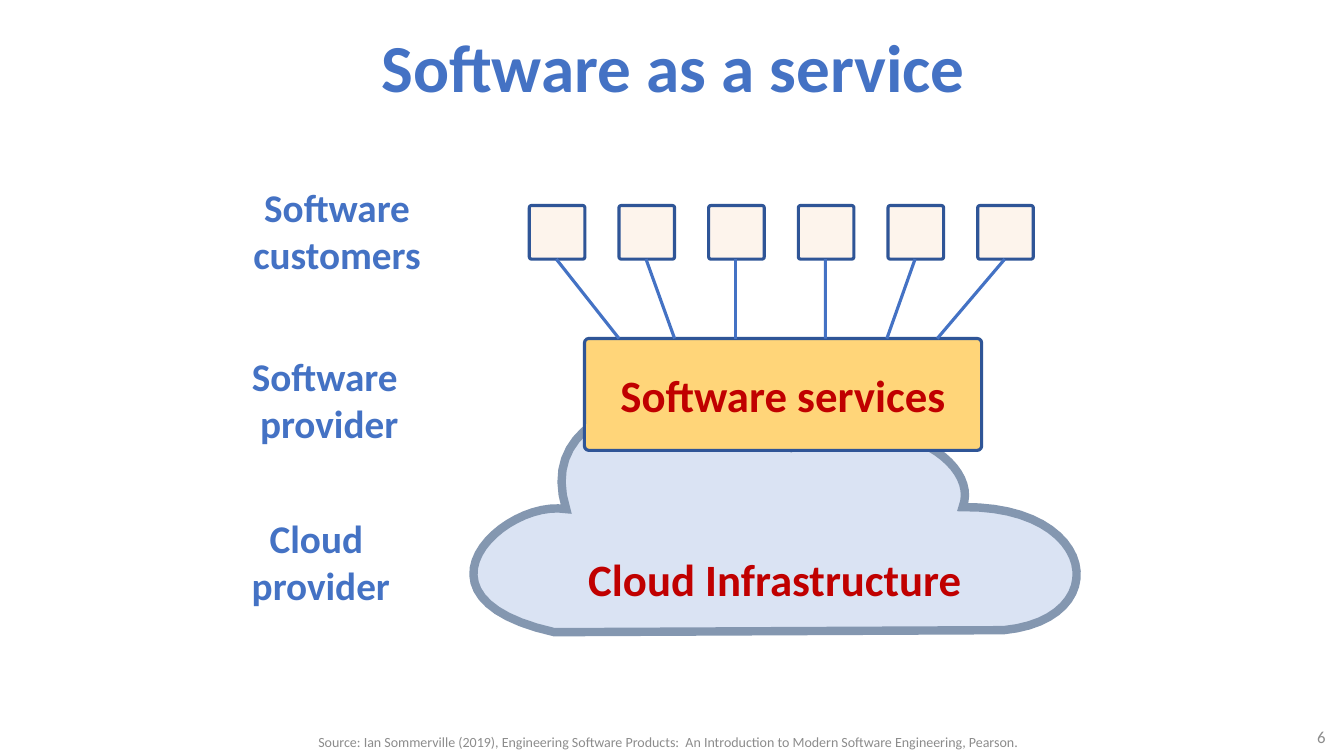
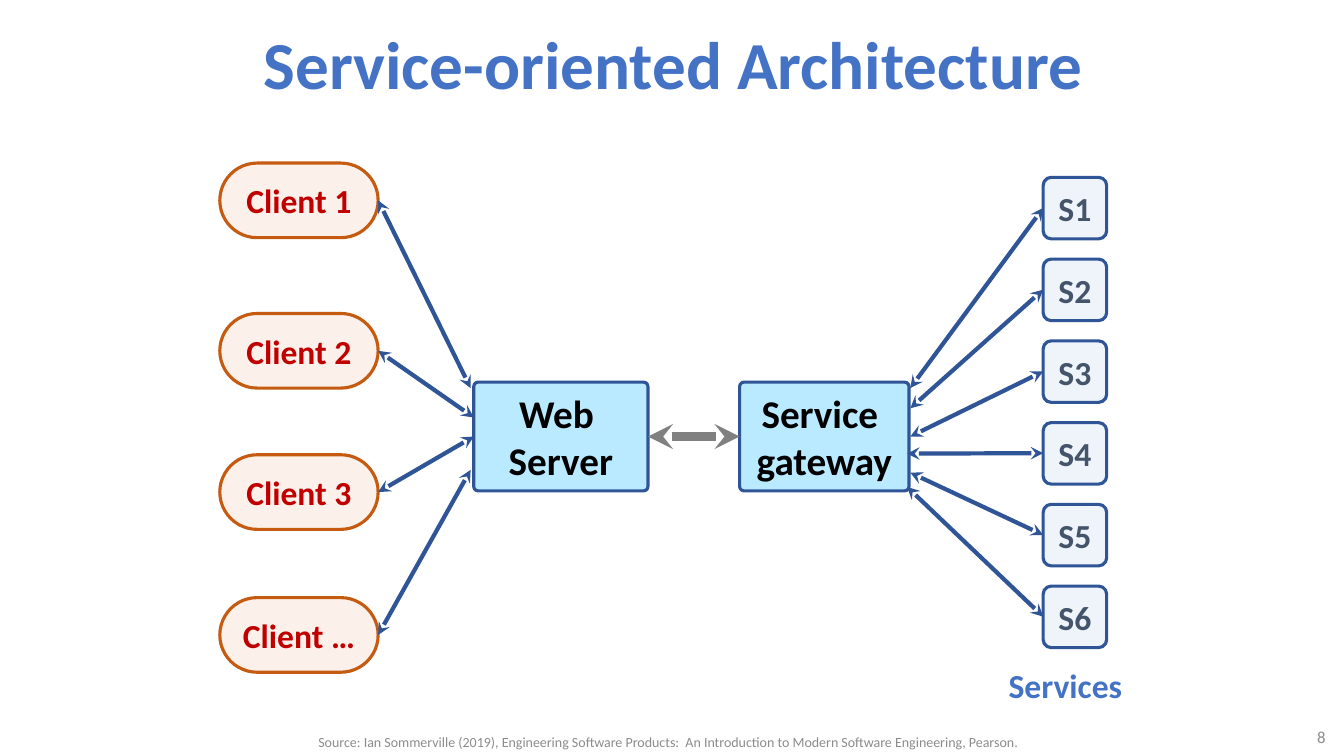
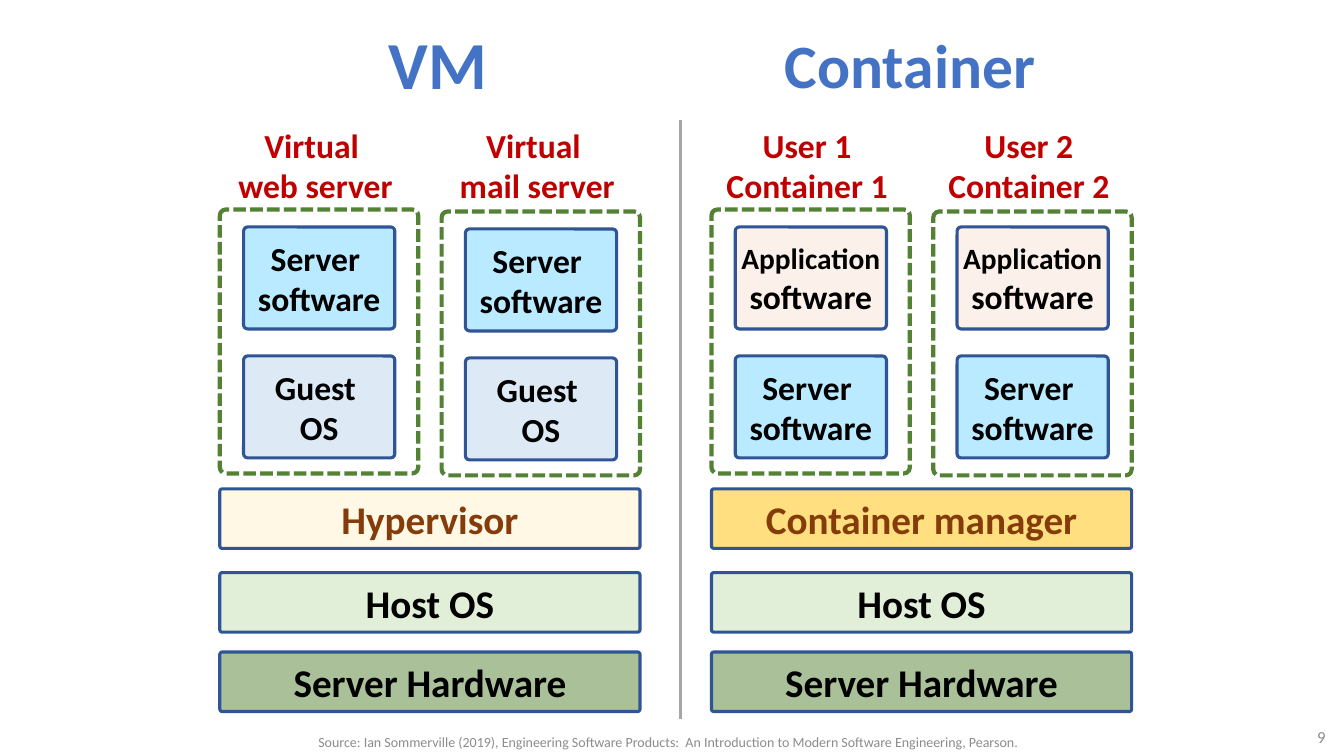
import pptx
import pptx.dml.color
import pptx.enum.dml
import pptx.enum.shapes
import pptx.enum.text
import pptx.oxml.ns
import pptx.util
from lxml import etree

Cm = pptx.util.Cm
Pt = pptx.util.Pt
ALIGN = pptx.enum.text.PP_ALIGN
ANCHOR = pptx.enum.text.MSO_ANCHOR

FONT = "Calibri"
BLUE = "4472C4"
NAVY = "2F5597"
RED = "C00000"
BLACK = "000000"
GRAY = "8C8C8C"
BROWN = "843C0B"
GREEN = "548235"
SKY = "76D6FF"
PEACH = "FBE5D6"
SOURCE = (
    "Source: Ian Sommerville (2019), Engineering Software Products:  "
    "An Introduction to Modern Software Engineering, Pearson."
)


def color(value):
    return pptx.dml.color.RGBColor.from_string(value)


def add_element(parent, tag, **attributes):
    return etree.SubElement(parent, pptx.oxml.ns.qn(tag), **attributes)


def write_text(shape, text, size, text_color, bold=True, align=ALIGN.CENTER,
               anchor=ANCHOR.MIDDLE, wrap=True, first_size=None):
    frame = shape.text_frame
    frame.word_wrap = wrap
    frame.vertical_anchor = anchor
    paragraph = frame.paragraphs[0]
    paragraph.alignment = align
    for index, line in enumerate(text.split("\n")):
        if index:
            paragraph.add_line_break()
        run = paragraph.add_run()
        run.text = line
        run.font.name = FONT
        run.font.size = Pt(first_size if first_size and index == 0 else size)
        run.font.bold = bold
        run.font.color.rgb = color(text_color)


def add_text(slide, left, top, width, height, text, size, text_color, **options):
    shape = slide.shapes.add_textbox(Cm(left), Cm(top), Cm(width), Cm(height))
    write_text(shape, text, size, text_color, **options)


def style_shape(shape, fill, line, line_width, opacity=100):
    shape.shadow.inherit = False
    if fill:
        shape.fill.solid()
        shape.fill.fore_color.rgb = color(fill)
    else:
        shape.fill.background()
    if fill and opacity < 100:
        fill_color = shape.element.xpath("./p:spPr/a:solidFill/a:srgbClr")[0]
        add_element(fill_color, "a:alpha", val=str(opacity * 1000))
    shape.line.color.rgb = color(line)
    shape.line.width = Pt(line_width)


def add_box(slide, left, top, width, height, fill, line=NAVY, line_width=2.25,
            opacity=50, rounding=0.04):
    shape = slide.shapes.add_shape(
        pptx.enum.shapes.MSO_SHAPE.ROUNDED_RECTANGLE,
        Cm(left), Cm(top), Cm(width), Cm(height))
    shape.adjustments[0] = rounding
    style_shape(shape, fill, line, line_width, opacity)
    return shape


def add_label_box(slide, left, top, width, height, fill, text, size,
                  text_color=BLACK, first_size=None, **options):
    shape = add_box(slide, left, top, width, height, fill, **options)
    frame = shape.text_frame
    frame.margin_left = frame.margin_right = 0
    frame.margin_top = frame.margin_bottom = 0
    write_text(shape, text, size, text_color, wrap=False, first_size=first_size)


def add_line(slide, start, end, line_color, width, arrows=False):
    connector = slide.shapes.add_connector(
        pptx.enum.shapes.MSO_CONNECTOR.STRAIGHT,
        Cm(start[0]), Cm(start[1]), Cm(end[0]), Cm(end[1]))
    connector.line.color.rgb = color(line_color)
    connector.line.width = Pt(width)
    if arrows:
        line = connector.element.xpath("./p:spPr/a:ln")[0]
        add_element(line, "a:headEnd", type="stealth")
        add_element(line, "a:tailEnd", type="stealth")
    add_element(connector.element.spPr, "a:effectLst")


def curve_points(start, first, second, end, steps=24):
    points = []
    for step in range(1, steps + 1):
        t = step / steps
        weights = ((1 - t) ** 3, 3 * t * (1 - t) ** 2, 3 * t ** 2 * (1 - t), t ** 3)
        points.append(tuple(
            sum(weight * point[axis] for weight, point
                in zip(weights, (start, first, second, end)))
            for axis in (0, 1)))
    return points


def add_cloud(slide):
    left_notch, bottom_left = (14.27, 12.83), (13.97, 15.93)
    bottom_right, right_notch = (25.3, 15.88), (24.26, 12.78)
    top_notch = (19.96, 11.28)
    points = curve_points(left_notch, (12.7, 12.57), (10.06, 15.06), bottom_left)
    points.append(bottom_right)
    points += curve_points(bottom_right, (28.09, 15.6), (27.66, 12.73), right_notch)
    points += curve_points(right_notch, (24.71, 11.66), (22.53, 10.13), top_notch)
    points += curve_points(top_notch, (18.19, 9.32), (13.34, 9.91), left_notch)
    builder = slide.shapes.build_freeform(Cm(left_notch[0]), Cm(left_notch[1]))
    builder.add_line_segments([(Cm(x), Cm(y)) for x, y in points], close=True)
    cloud = builder.convert_to_shape()
    style_shape(cloud, "DAE3F3", "8497B0", 6)
    add_element(cloud.element.xpath("./p:spPr/a:ln")[0], "a:miter", lim="800000")
    cloud.text_frame.margin_top = Cm(3.1)
    cloud.text_frame.margin_bottom = 0
    write_text(cloud, "Cloud Infrastructure", 32, RED)


def add_title(slide, text, left=5.54, top=0, width=22.86, height=3.18, size=48):
    add_text(slide, left, top, width, height, text, size, BLUE)


def new_slide(presentation, number):
    slide = presentation.slides.add_slide(presentation.slide_layouts[6])
    add_text(slide, 30.99, 18.24, 2.67, 0.66, str(number), 12, GRAY,
             bold=False, align=ALIGN.RIGHT)
    add_text(slide, 5.94, 18.34, 21.79, 0.71, SOURCE, 10, GRAY, bold=False)
    return slide


def build_software_service(presentation):
    slide = new_slide(presentation, 6)
    add_title(slide, "Software as a service", top=0.33, height=2.64)
    add_cloud(slide)
    for left, top, width, text in (
            (4.47, 4.5, 8.05, "Software customers"),
            (4.7, 8.76, 7.19, "Software \nprovider"),
            (4.39, 12.83, 7.39, "Cloud \nprovider")):
        add_text(slide, left, top, width, 2.64, text, 28, BLUE, anchor=ANCHOR.TOP)
    add_label_box(slide, 14.73, 8.53, 10.01, 2.82, "FFD579",
                  "Software services", 32, RED, opacity=100)
    for index, service_x in enumerate((15.6, 17, 18.54, 20.8, 22.35, 23.62)):
        offset = 2.26 * index
        add_box(slide, 13.34 + offset, 5.18, 1.4, 1.35, "FDEADA")
        add_line(slide, (14.02 + offset, 6.53), (service_x, 8.53), BLUE, 2.25)


def build_architecture(presentation):
    slide = new_slide(presentation, 8)
    add_title(slide, "Service-oriented Architecture")
    for name, top, server_point in (
            ("1", 4.11, (11.86, 9.78)),
            ("2", 7.9, (11.94, 10.52)),
            ("3", 11.46, (11.94, 11)),
            ("…", 15.06, (11.86, 11.84))):
        add_label_box(slide, 5.54, top, 3.99, 1.88, PEACH, f"Client {name}", 24,
                      RED, line="C55A11", rounding=0.5)
        add_line(slide, (9.53, top + 0.94), server_point, NAVY, 3, arrows=True)
    add_label_box(slide, 11.94, 9.63, 4.39, 2.74, SKY, "Web \nServer", 28)
    add_label_box(slide, 18.64, 9.63, 4.27, 2.74, SKY, "Service \ngateway", 28)
    add_line(slide, (16.33, 11), (18.64, 11), "808080", 6, arrows=True)
    gateway_points = ((22.94, 9.78), (22.94, 10.29), (22.94, 11),
                      (22.86, 11.43), (22.94, 11.91), (22.86, 12.27))
    for index, gateway_point in enumerate(gateway_points):
        top = 4.47 + 2.06 * index
        add_label_box(slide, 26.29, top, 1.6, 1.55, "DEEBF7", f"S{index + 1}", 24,
                      "44546A", rounding=0.13)
        add_line(slide, gateway_point, (26.29, top + 0.77), NAVY, 3, arrows=True)
    add_text(slide, 25.15, 16.64, 3.4, 1.27, "Services", 24, BLUE,
             anchor=ANCHOR.TOP, wrap=False)


def add_environment(slide, left, label, parts, frame_drop, part_drop):
    for top, (text, fill, first_size) in zip((5.72, 8.97), parts):
        add_label_box(slide, left + 0.6, top + part_drop, 3.81, 2.57, fill, text, 24,
                      first_size=first_size)
    frame = add_box(slide, left, 5.28 + frame_drop, 5, 6.65, None, GREEN, 3,
                    rounding=0.03)
    frame.line.dash_style = pptx.enum.dml.MSO_LINE.SQUARE_DOT
    add_text(slide, left + 0.1, 3.02, 4.62, 2.31, label, 24, RED,
             anchor=ANCHOR.TOP, wrap=False)


def add_stack(slide, left, labels, parts, manager, manager_fill, part_drop):
    for index, label in enumerate(labels):
        add_environment(slide, left + 5.59 * index, label, parts,
                        0.05 * index, part_drop * index)
    for top, text, fill, text_color in (
            (12.32, manager, manager_fill, BROWN),
            (14.43, "Host OS", "C5E0B4", BLACK),
            (16.43, "Server Hardware", GREEN, BLACK)):
        add_label_box(slide, left, top, 10.59, 1.5, fill, text, 28, text_color)


def build_comparison(presentation):
    slide = new_slide(presentation, 9)
    add_title(slide, "VM", width=11)
    add_title(slide, "Container", 17.83, 0.28, 10.21, 2.64, 44)
    server = ("Server \nsoftware", SKY, None)
    guest = ("Guest \nOS", "BDD7EE", None)
    application = ("Application\nsoftware", PEACH, 21)
    add_stack(slide, 5.54, ("Virtual \nweb server", "Virtual \nmail server"),
              (server, guest), "Hypervisor", "FFF2CC", 0.05)
    add_stack(slide, 17.93, ("User 1\nContainer 1", "User 2\nContainer 2"),
              (application, server), "Container manager", "FFC000", 0)
    add_line(slide, (17.15, 3.02), (17.15, 18.11), "A6A6A6", 2.25)


def main():
    presentation = pptx.Presentation()
    presentation.slide_width = Cm(33.87)
    presentation.slide_height = Cm(19.05)
    build_software_service(presentation)
    build_architecture(presentation)
    build_comparison(presentation)
    presentation.save("out.pptx")


if __name__ == "__main__":
    main()
